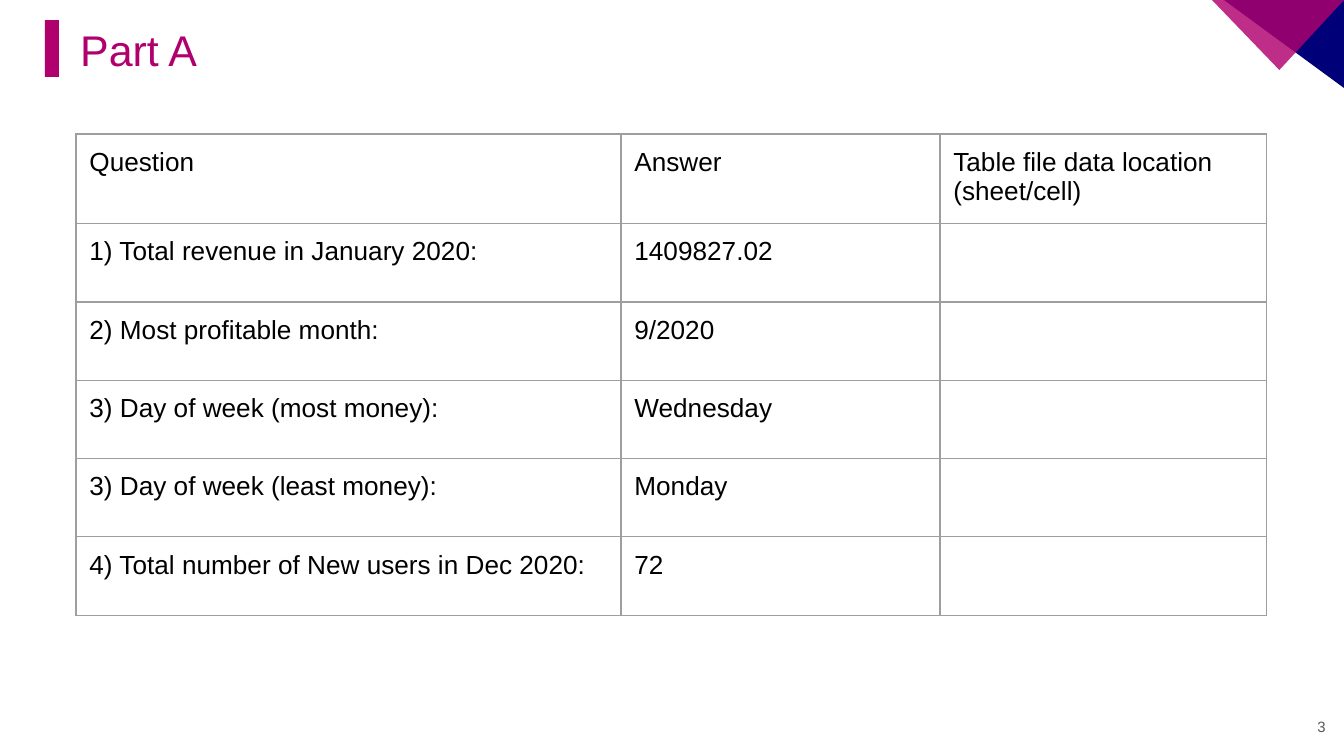
from dataclasses import dataclass

from lxml.etree import SubElement, fromstring
from pptx import Presentation
from pptx.dml.color import RGBColor
from pptx.enum.shapes import MSO_SHAPE
from pptx.enum.text import MSO_ANCHOR, PP_ALIGN
from pptx.oxml.ns import nsdecls, qn
from pptx.util import Pt

PX = 914400 / 134.4  # EMU in one px
PAD = round(13.44 * PX)


@dataclass
class Theme:
    font: str = "Arial"
    pink: str = "B0006E"
    head: str = "B0006D"
    navy: str = "000078"
    ink: str = "000000"
    gray: str = "595959"
    rule: str = "9E9E9E"
    title: int = 23
    body: int = 14
    small: int = 8


theme = Theme()


def box(*sizes):
    return [round(n * PX) for n in sizes]


def write(frame, text, size, color, align=PP_ALIGN.LEFT):
    frame.margin_left = frame.margin_right = PAD
    frame.margin_top = frame.margin_bottom = PAD
    frame.word_wrap = True
    frame.vertical_anchor = MSO_ANCHOR.MIDDLE
    line = frame.paragraphs[0]
    line.text = text
    line.alignment = align
    line.font.name = theme.font
    line.font.size = Pt(size)
    line.font.color.rgb = RGBColor.from_string(color)


deck = Presentation()
deck.slide_width, deck.slide_height = box(1344, 756)
slide = deck.slides.add_slide(deck.slide_layouts[6])
shapes = slide.shapes

# Title bar and corner triangles
decor = [
    (MSO_SHAPE.RECTANGLE, (45, 20, 14, 57), theme.pink, 0),
    (MSO_SHAPE.RIGHT_TRIANGLE, (1224, 0, 120, 88), theme.navy, 180),
    (MSO_SHAPE.ISOSCELES_TRIANGLE, (1212, 0, 132, 70), theme.pink, 180),
]
for kind, place, color, turn in decor:
    shape = shapes.add_shape(kind, *box(*place))
    shape.shadow.inherit = False
    shape.rotation = turn
    shape.fill.solid()
    shape.fill.fore_color.rgb = RGBColor.from_string(color)
    shape.line.fill.background()

# The front triangle is see-through
shape.adjustments[0] = 0.49
tint = shape.fill._xPr.find(".//" + qn("a:srgbClr"))
SubElement(tint, qn("a:alpha"), val="82000")

# Title and page number
title = shapes.add_textbox(*box(67, 20, 1176, 58))
write(title.text_frame, "Part A", theme.title, theme.head)
page = shapes.add_textbox(*box(1258, 698, 81, 58))
write(page.text_frame, "3", theme.small, theme.gray, PP_ALIGN.RIGHT)

# Answer table
rows = [
    ("Question", "Answer", "Table file data location (sheet/cell)"),
    ("1) Total revenue in January 2020:", "1409827.02", ""),
    ("2) Most profitable month:", "9/2020", ""),
    ("3) Day of week (most money):", "Wednesday", ""),
    ("3) Day of week (least money):", "Monday", ""),
    ("4) Total number of New users in Dec 2020:", "72", ""),
]
widths = box(545, 319, 327)
grid = shapes.add_table(len(rows), len(widths), *box(76, 134, 1191, 470)).table
grid.first_row = grid.horz_banding = False
for col, width in zip(grid.columns, widths):
    col.width = width

for r, row in enumerate(rows):
    for c, text in enumerate(row):
        cell = grid.cell(r, c)
        write(cell.text_frame, text, theme.body, theme.ink)
        cell.margin_left = cell.margin_right = PAD
        cell.margin_top = cell.margin_bottom = PAD
        cell.vertical_anchor = MSO_ANCHOR.TOP
        cell.fill.background()
        props = cell._tc.get_or_add_tcPr()
        for i, side in enumerate("LRTB"):
            props.insert(i, fromstring(
                f'<a:ln{side} {nsdecls("a")} w="{Pt(0.75)}"><a:solidFill>'
                f'<a:srgbClr val="{theme.rule}"/></a:solidFill></a:ln{side}>'))

deck.save("out.pptx")
